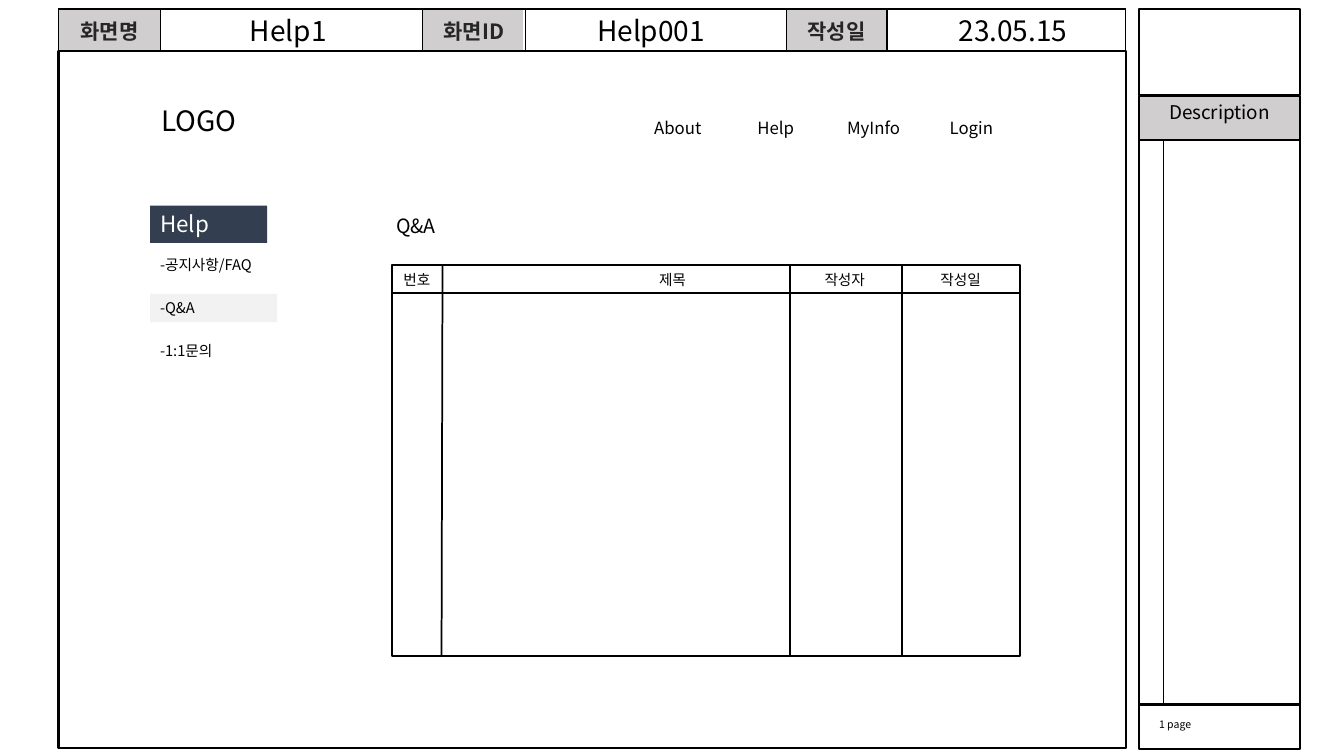
from lxml import etree
from pptx import Presentation
from pptx.dml.color import RGBColor
from pptx.enum.shapes import MSO_CONNECTOR, MSO_SHAPE
from pptx.enum.text import MSO_ANCHOR, MSO_AUTO_SIZE, PP_ALIGN
from pptx.oxml.ns import qn
from pptx.util import Pt

LEFT, CENTER = PP_ALIGN.LEFT, PP_ALIGN.CENTER
TOP, MIDDLE = MSO_ANCHOR.TOP, MSO_ANCHOR.MIDDLE
GROW = MSO_AUTO_SIZE.SHAPE_TO_FIT_TEXT
RECT, STRAIGHT = MSO_SHAPE.RECTANGLE, MSO_CONNECTOR.STRAIGHT
FONT = "Noto Sans CJK KR"
COLORS = {"ink": "000000", "label": "262626", "gray": "D0CECE",
          "pale": "F2F2F2", "navy": "333F50", "white": "FFFFFF"}


def rgb(name):
    return RGBColor.from_string(COLORS[name])


class Board:
    def __init__(self, slide):
        self.shapes = slide.shapes

    def style(self, para, text, size, color="ink", align=LEFT, bold=False):
        para.text = text
        para.alignment = align
        font = para.font
        font.size = Pt(size)
        font.bold = bold
        font.name = FONT
        font.color.rgb = rgb(color)
        props = para._p.pPr.find(qn("a:defRPr"))
        etree.SubElement(props, qn("a:ea"), typeface=FONT)

    def fit(self, shape, text, size, color="ink", align=LEFT):
        frame = shape.text_frame
        frame.word_wrap = True
        frame.auto_size = GROW
        frame.vertical_anchor = TOP
        self.style(frame.paragraphs[0], text, size, color, align)

    def rect(self, x, y, w, h, fill=None, line=None, width=1.5):
        box = self.shapes.add_shape(RECT, Pt(x), Pt(y), Pt(w), Pt(h))
        box.shadow.inherit = False
        if fill:
            box.fill.solid()
            box.fill.fore_color.rgb = rgb(fill)
        else:
            box.fill.background()
        if line:
            box.line.color.rgb = rgb(line)
            box.line.width = Pt(width)
        else:
            box.line.fill.background()
        return box

    def text(self, x, y, w, h, text, size, align=LEFT):
        box = self.shapes.add_textbox(Pt(x), Pt(y), Pt(w), Pt(h))
        self.fit(box, text, size, align=align)

    def line(self, x1, y1, x2, y2, width=1.25):
        rule = self.shapes.add_connector(STRAIGHT, Pt(x1), Pt(y1), Pt(x2), Pt(y2))
        rule.line.color.rgb = rgb("ink")
        rule.line.width = Pt(width)
        etree.SubElement(rule._element.spPr, qn("a:effectLst"))

    def border(self, cell):
        props = cell._tc.get_or_add_tcPr()
        for i, side in enumerate(("lnL", "lnR", "lnT", "lnB")):
            edge = etree.Element(qn("a:" + side), w="12700")
            fill = etree.SubElement(edge, qn("a:solidFill"))
            etree.SubElement(fill, qn("a:srgbClr"), val=COLORS["ink"])
            props.insert(i, edge)

    def table(self, x, y, widths, height, labels):
        grid = self.shapes.add_table(1, len(widths), Pt(x), Pt(y),
                                     Pt(sum(widths)), Pt(height)).table
        grid.first_row = grid.horz_banding = False
        grid.rows[0].height = Pt(height)
        for i, (width, label) in enumerate(zip(widths, labels)):
            grid.columns[i].width = Pt(width)
            cell = grid.cell(0, i)
            cell.fill.background()
            cell.vertical_anchor = MIDDLE
            cell.margin_left = cell.margin_right = Pt(6.5)
            cell.margin_top = cell.margin_bottom = Pt(4)
            para = cell.text_frame.paragraphs[0]
            if label:
                self.style(para, label, 15, "label", CENTER, True)
            else:
                etree.SubElement(para._p, qn("a:endParaRPr"), sz="1000")
            self.border(cell)


def header(board):
    for i in reversed(range(3)):
        board.rect(42.5 + 259.6 * i, 7.2, 71.3, 29.5, "gray", "gray", 1)
    board.table(41.8, 6.5, (72.7, 187.2, 73.4, 186.5, 72, 170.6), 30.2,
                ("화면명", "", "화면ID", "", "작성일", ""))
    for x, value in ((126.7, "Help1"), (385.9, "Help001"), (644.4, "23.05.15")):
        board.text(x, 5.8, 158.4, 31.7, value, 20, CENTER)


def side(board):
    for y, h, fill in ((6.5, 61.5, None), (100.1, 403.2, None),
                       (503.3, 31.7, None), (68.4, 31.7, "gray")):
        board.rect(813.6, y, 115.2, h, fill, "ink")
    board.text(828, 68.4, 90, 23.8, "Description", 13.5)
    board.text(820.8, 509, 95, 16.6, "1 page", 7.5)
    board.line(830.9, 100.1, 830.9, 503.3, 0.5)


def menu(board):
    board.text(107.3, 70.6, 69.8, 31.7, "LOGO", 20, CENTER)
    for i, name in enumerate(("About", "Help", "MyInfo", "Login")):
        board.text(449.3 + 69.9 * i, 80.6, 69.8, 21.6, name, 12, CENTER)
    head = board.rect(107.3, 146.9, 83.5, 26.6, "navy")
    board.fit(head, "Help", 16, "white")
    board.text(107.3, 179.3, 90.7, 20.2, "-공지사항/FAQ", 10.5)
    pick = board.rect(107.3, 210, 90.7, 20.2, "pale")
    board.fit(pick, "-Q&A", 10.5)
    board.text(107.3, 240.7, 90.7, 20.2, "-1:1문의", 10.5)


def posts(board):
    top, base, left, right = 189.4, 468.7, 280.1, 728.6
    board.text(275.8, 149, 135.4, 24.5, "Q&A", 14)
    board.rect(left, top, right - left, base - top, line="ink", width=1.25)
    board.line(left, 209.5, right, 209.5)
    board.line(315.4, base, 316.1, top)
    for x in (564.5, 644.4):
        board.line(x, base, x, top)
    for x, w, name in ((left, 35.3, "번호"), (448.6, 63.4, "제목"),
                       (571.7, 63.4, "작성자"), (654.5, 63.4, "작성일")):
        board.text(x, 190.1, w, 20.2, name, 10.5, CENTER)


def main():
    deck = Presentation()
    deck.slide_width, deck.slide_height = Pt(960), Pt(540)
    board = Board(deck.slides.add_slide(deck.slide_layouts[6]))
    header(board)
    board.rect(41.8, 36.2, 762.5, 498.2, line="ink")
    side(board)
    menu(board)
    posts(board)
    deck.save("out.pptx")


if __name__ == "__main__":
    main()
